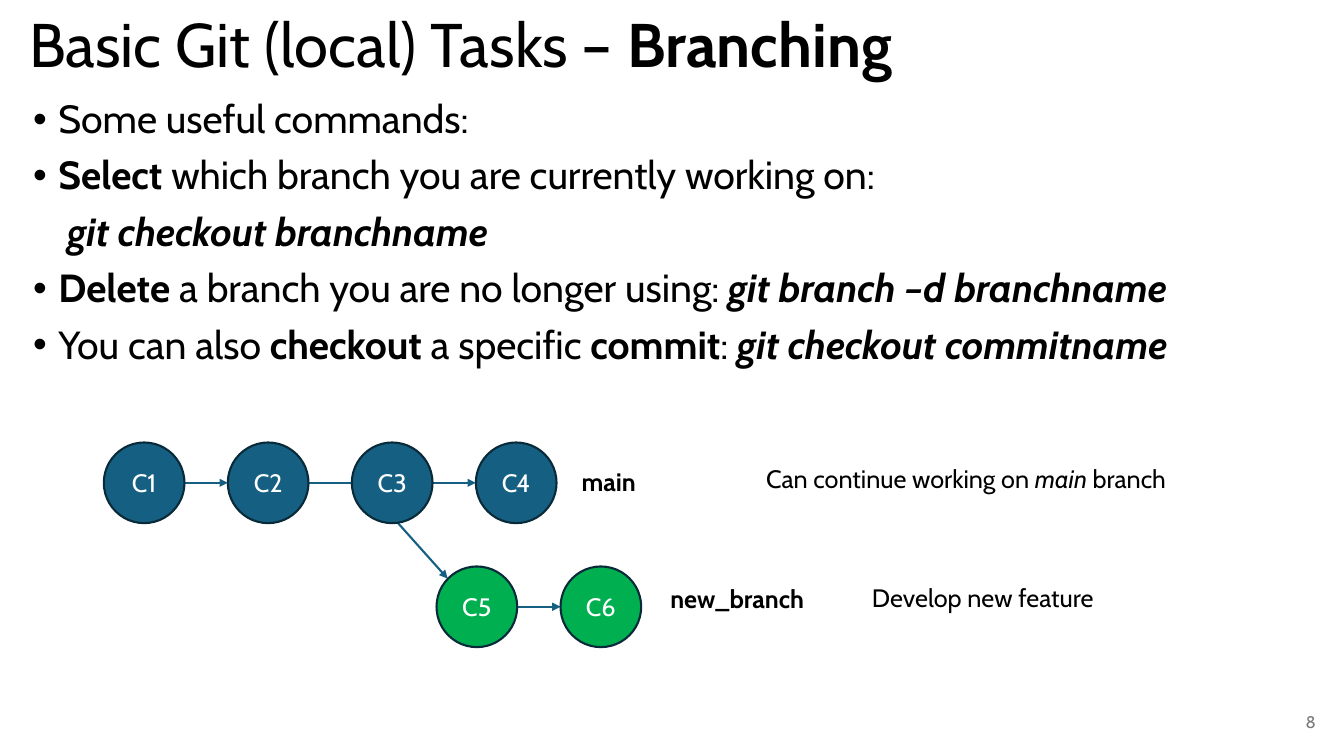
import dataclasses

import pptx
import pptx.dml.color
import pptx.enum.shapes
import pptx.enum.text
import pptx.oxml
import pptx.oxml.ns
import pptx.util
from pptx.util import Inches

ALIGN = pptx.enum.text.PP_ALIGN
ANCHOR = pptx.enum.text.MSO_ANCHOR


@dataclasses.dataclass(frozen=True)
class Theme:
    font: str = "Cabin"
    ink: str = "000000"
    light: str = "FFFFFF"
    muted: str = "797979"
    main: str = "156082"
    feature: str = "00B050"
    outline: str = "092A39"
    title_size: int = 44
    body_size: int = 28
    diagram_size: int = 18
    number_size: int = 12
    stroke: float = 1.5


THEME = Theme()
DIAMETER = 0.8
STEP = 1.23
LABEL_HEIGHT = 0.4


def rgb(value):
    return pptx.dml.color.RGBColor.from_string(value)


def add_xml(parent, tag, **attributes):
    element = pptx.oxml.ns.qn(tag)
    child = parent.makeelement(element, attributes)
    parent.append(child)
    return child


def write_text(paragraph, text, size=THEME.diagram_size, color=THEME.ink,
               bold=False, italic=False):
    run = paragraph.add_run()
    run.text = text
    run.font.name = THEME.font
    run.font.size = pptx.util.Pt(size)
    run.font.color.rgb = rgb(color)
    run.font.bold = bold
    run.font.italic = italic


def write_styled(paragraph, pieces, **style):
    for text, emphasis in pieces:
        write_text(paragraph, text, bold="b" in emphasis, italic="i" in emphasis, **style)


def add_frame(slide, left, top, width, height, wrap=True, anchor=ANCHOR.TOP):
    box = slide.shapes.add_textbox(Inches(left), Inches(top), Inches(width), Inches(height))
    box.text_frame.word_wrap = wrap
    box.text_frame.vertical_anchor = anchor
    return box.text_frame


def add_title(slide, left, top, width, height):
    heading = add_frame(slide, left, top, width, height, anchor=ANCHOR.MIDDLE).paragraphs[0]
    heading.line_spacing = 0.9
    write_styled(heading, [("Basic Git (local) Tasks – ", ""), ("Branching", "b")],
                 size=THEME.title_size)


def add_commands(slide, left, top, width, height):
    commands = [
        (True, [("Some useful commands:", "")]),
        (True, [("Select", "b"), (" which branch you are currently working on:", "")]),
        (False, [("git checkout branchname", "bi")]),
        (True, [("Delete ", "b"), ("a branch you are no longer using: ", ""),
                ("git branch –d branchname", "bi")]),
        (True, [("You can also ", ""), ("checkout", "b"), (" a specific ", ""),
                ("commit", "b"), (": ", ""), ("git checkout commitname", "bi")]),
    ]
    frame = add_frame(slide, left, top, width, height)
    for index, (bulleted, pieces) in enumerate(commands):
        line = frame.add_paragraph() if index else frame.paragraphs[0]
        line.line_spacing = 0.9
        line.space_before = pptx.util.Pt(10)
        properties = line._p.get_or_add_pPr()
        properties.set("marL", str(Inches(0.25 if bulleted else 0.34)))
        if bulleted:
            properties.set("indent", str(Inches(-0.25)))
            add_xml(properties, "a:buFont", typeface="Arial")
            add_xml(properties, "a:buChar", char="•")
        write_styled(line, pieces, size=THEME.body_size)


def add_link(slide, start, end):
    link = slide.shapes.add_connector(
        pptx.enum.shapes.MSO_CONNECTOR.STRAIGHT, *(Inches(value) for value in (*start, *end)))
    link.line.color.rgb = rgb(THEME.main)
    link.line.width = pptx.util.Pt(THEME.stroke)
    add_xml(link.line._get_or_add_ln(), "a:tailEnd", type="triangle")
    add_xml(link._element.spPr, "a:effectLst")


def add_commit(slide, name, left, top, fill):
    commit = slide.shapes.add_shape(
        pptx.enum.shapes.MSO_SHAPE.OVAL,
        Inches(left), Inches(top), Inches(DIAMETER), Inches(DIAMETER))
    commit.shadow.inherit = False
    commit.fill.solid()
    commit.fill.fore_color.rgb = rgb(fill)
    commit.line.color.rgb = rgb(THEME.outline)
    commit.line.width = pptx.util.Pt(THEME.stroke)
    commit.text_frame.vertical_anchor = ANCHOR.MIDDLE
    caption = commit.text_frame.paragraphs[0]
    caption.alignment = ALIGN.CENTER
    write_text(caption, name, color=THEME.light)


def add_branch(slide, left, top, names, fill, overlaps=()):
    middle = top + DIAMETER / 2
    for index, name in enumerate(names[1:]):
        start = left + index * STEP + DIAMETER
        end = left + (index + 1) * STEP + (0.15 if name in overlaps else 0)
        add_link(slide, (start, middle), (end, middle))
    for index, name in enumerate(names):
        add_commit(slide, name, left + index * STEP, top, fill)


def add_label(slide, left, top, width, pieces):
    frame = add_frame(slide, left, top, width, LABEL_HEIGHT, wrap=False)
    write_styled(frame.paragraphs[0], pieces)


def add_diagram(slide, left, top):
    feature_left, feature_top = left + 3.3, top + STEP
    add_link(slide, (left + 2.9, top + 0.78), (feature_left + 0.11, feature_top + 0.12))
    add_branch(slide, left, top, ["C1", "C2", "C3", "C4"], THEME.main, overlaps=["C3"])
    add_branch(slide, feature_left, feature_top, ["C5", "C6"], THEME.feature)
    labels = [
        (4.64, 0.19, 0.78, [("main", "b")]),
        (5.52, 1.35, 1.6, [("new_branch", "b")]),
        (6.47, 0.16, 4.3, [("Can continue working on ", ""), ("main ", "i"), ("branch", "")]),
        (7.52, 1.34, 2.43, [("Develop new feature", "")]),
    ]
    for across, down, width, pieces in labels:
        add_label(slide, left + across, top + down, width, pieces)


def add_slide_number(slide, left, top, width, height):
    number = add_frame(slide, left, top, width, height, anchor=ANCHOR.MIDDLE).paragraphs[0]
    number.alignment = ALIGN.RIGHT
    write_text(number, "8", size=THEME.number_size, color=THEME.muted)


def main():
    deck = pptx.Presentation()
    deck.slide_width = Inches(13.33)
    deck.slide_height = Inches(7.5)
    slide = deck.slides.add_slide(deck.slide_layouts[6])
    add_title(slide, 0.19, -0.25, 11.5, 1.45)
    add_commands(slide, 0.23, 0.94, 12.92, 6.28)
    add_slide_number(slide, 10.15, 6.96, 3, 0.4)
    add_diagram(slide, 1.03, 4.39)
    deck.save("out.pptx")


if __name__ == "__main__":
    main()
